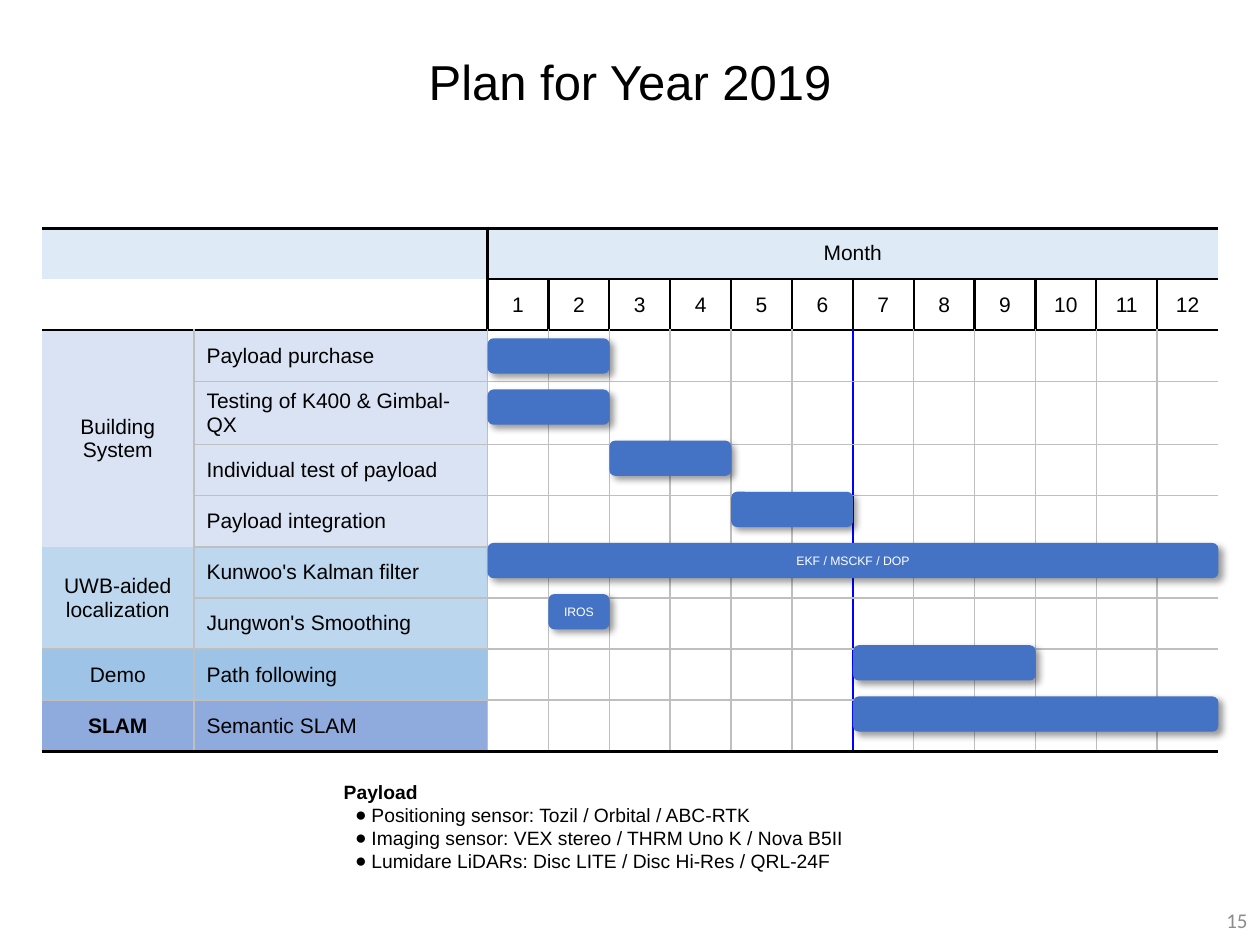
from lxml.etree import SubElement
from pptx import Presentation
from pptx.dml.color import RGBColor
from pptx.enum.shapes import MSO_SHAPE as Shape
from pptx.enum.text import MSO_ANCHOR as Anchor, PP_ALIGN as Align
from pptx.oxml.ns import qn
from pptx.util import Inches, Pt

BLACK, GREY, BLUE, WHITE = "000000", "BFBFBF", "0000FF", "FFFFFF"
HEADER_FILL, BAR_FILL = "DEEBF7", "4472C4"
NO_STYLE = "{2D5ABB26-0587-4C30-8999-92F81FD0307C}"
MONTHS, HEADER_ROWS, LABEL_COLS, TODAY = 12, 2, 2, 6
GROUP_WIDTH, TASK_WIDTH, BAR_HEIGHT = 1.21, 2.33, 0.28

# Each group: name, fill, tasks; each task: label, first month, last month, bar text
PLAN = [
    ("Building\nSystem", "DAE3F3", [
        ("Payload purchase", 1, 2, ""),
        ("Testing of K400 & Gimbal-QX", 1, 2, ""),
        ("Individual test of payload", 3, 4, ""),
        ("Payload integration", 5, 6, "")]),
    ("UWB-aided\nlocalization", "BDD7EE", [
        ("Kunwoo's Kalman filter", 1, 12, "EKF / MSCKF / DOP"),
        ("Jungwon's Smoothing", 2, 2, "IROS")]),
    ("Demo", "9DC3E6", [("Path following", 7, 9, "")]),
    ("SLAM", "8FAADC", [("Semantic SLAM", 7, 12, "")]),
]
TASKS = [task for _, _, tasks in PLAN for task in tasks]
ROWS, COLS = HEADER_ROWS + len(TASKS), LABEL_COLS + MONTHS
GROUP_STARTS = {HEADER_ROWS + sum(len(tasks) for _, _, tasks in PLAN[:i])
                for i in range(len(PLAN))}


def color(value):
    return RGBColor.from_string(value)


def write(frame, text, size, align=Align.LEFT, hue=BLACK, bold=False, font="Arial"):
    frame.text = text
    for paragraph in frame.paragraphs:
        paragraph.alignment = align
        for run in paragraph.runs:
            run.font.size, run.font.name, run.font.bold = Pt(size), font, bold
            run.font.color.rgb = color(hue)


def add_text(slide, box, text, size, anchor=Anchor.MIDDLE, **style):
    frame = slide.shapes.add_textbox(*map(Inches, box)).text_frame
    frame.word_wrap, frame.vertical_anchor = True, anchor
    write(frame, text, size, **style)
    return frame


def fill_cell(cell, text="", fill=None, align=Align.CENTER, bold=False):
    cell.vertical_anchor = Anchor.MIDDLE
    write(cell.text_frame, text, 12, align, bold=bold)
    if fill:
        cell.fill.solid()
        cell.fill.fore_color.rgb = color(fill)
    else:
        cell.fill.background()


# Grid lines: the line above a row, and the line left of a column
def line_above(row, col):
    if row in (0, ROWS):
        return BLACK, 2
    if row == 1:
        return (BLACK, 1.5) if col >= LABEL_COLS else None
    if row == HEADER_ROWS:
        return BLACK, 1.5
    return None if col == 0 and row not in GROUP_STARTS else (GREY, 1)


def line_before(row, col):
    if col in (0, COLS):
        return None
    if row < HEADER_ROWS:
        shown = col == LABEL_COLS or (row == 1 and col > LABEL_COLS)
        return (BLACK, 1.5) if shown else None
    return (BLUE, 1.5) if col == LABEL_COLS + TODAY else (GREY, 1)


def set_borders(cell, row, col):
    lines = {"L": line_before(row, col), "R": line_before(row, col + 1),
             "T": line_above(row, col), "B": line_above(row + 1, col)}
    properties = cell._tc.get_or_add_tcPr()
    for position, (side, line) in enumerate(lines.items()):
        border = SubElement(properties, qn("a:ln" + side))
        properties.insert(position, border)
        if line:
            border.set("w", str(int(Pt(line[1]))))
            SubElement(SubElement(border, qn("a:solidFill")), qn("a:srgbClr"), val=line[0])
        else:
            SubElement(border, qn("a:noFill"))


def add_schedule(slide, box):
    left, top, width, height = box
    month_width = (width - GROUP_WIDTH - TASK_WIDTH) / MONTHS
    row_height = height / ROWS
    table = slide.shapes.add_table(ROWS, COLS, *map(Inches, box)).table
    table.first_row = table.horz_banding = False
    table._tbl.tblPr.find(qn("a:tableStyleId")).text = NO_STYLE
    for col, size in enumerate([GROUP_WIDTH, TASK_WIDTH] + [month_width] * MONTHS):
        table.columns[col].width = Inches(size)
    for row in range(ROWS):
        table.rows[row].height = Inches(row_height)
        for col in range(COLS):
            fill = (HEADER_FILL, WHITE)[row] if row < HEADER_ROWS else None
            fill_cell(table.cell(row, col), fill=fill)

    # Header
    table.cell(0, LABEL_COLS).merge(table.cell(0, COLS - 1))
    fill_cell(table.cell(0, LABEL_COLS), "Month", HEADER_FILL)
    for month in range(1, MONTHS + 1):
        fill_cell(table.cell(1, LABEL_COLS + month - 1), str(month), WHITE)

    # Groups and tasks
    row = HEADER_ROWS
    for group, fill, tasks in PLAN:
        if len(tasks) > 1:
            table.cell(row, 0).merge(table.cell(row + len(tasks) - 1, 0))
        fill_cell(table.cell(row, 0), group, fill, bold=group == "SLAM")
        for label, *_ in tasks:
            fill_cell(table.cell(row, 1), label, fill, Align.LEFT)
            row += 1
    for row in range(ROWS):
        for col in range(COLS):
            set_borders(table.cell(row, col), row, col)

    # Bars
    first_left = left + GROUP_WIDTH + TASK_WIDTH
    for row, (_, first, last, text) in enumerate(TASKS, HEADER_ROWS):
        add_bar(slide, (first_left + (first - 1) * month_width,
                        top + row * row_height + (row_height - BAR_HEIGHT) / 2,
                        (last - first + 1) * month_width, BAR_HEIGHT), text)


def add_bar(slide, box, text):
    bar = slide.shapes.add_shape(Shape.ROUNDED_RECTANGLE, *map(Inches, box))
    bar.fill.solid()
    bar.fill.fore_color.rgb = color(BAR_FILL)
    bar.line.fill.background()
    bar.shadow.inherit = False
    effects = bar._element.spPr.find(qn("a:effectLst"))
    shadow = SubElement(effects, qn("a:outerShdw"), blurRad=str(int(Pt(4))),
                        dist=str(int(Pt(3))), dir=str(45 * 60000), algn="tl", rotWithShape="0")
    SubElement(SubElement(shadow, qn("a:srgbClr"), val=BLACK), qn("a:alpha"), val="40000")
    if text:
        frame = bar.text_frame
        frame.margin_left = frame.margin_right = 0
        frame.vertical_anchor = Anchor.MIDDLE
        write(frame, text, 7, Align.CENTER, WHITE)


def add_payload(slide, box):
    sensors = ["Positioning sensor: Tozil / Orbital / ABC-RTK",
               "Imaging sensor: VEX stereo / THRM Uno K / Nova B5II",
               "Lumidare LiDARs: Disc LITE / Disc Hi-Res / QRL-24F"]
    frame = add_text(slide, box, "\n".join(["Payload"] + sensors), 11, Anchor.TOP)
    heading, *items = frame.paragraphs
    heading.runs[0].font.bold = True
    for item in items:
        properties = item._p.get_or_add_pPr()
        properties.set("marL", str(Inches(0.22)))
        properties.set("indent", str(Inches(-0.13)))
        SubElement(properties, qn("a:buFont"), typeface="Arial")
        SubElement(properties, qn("a:buChar"), char="●")


def build_plan_slide(deck):
    slide = deck.slides.add_slide(deck.slide_layouts[6])
    title = add_text(slide, (0.69, 0.4, 8.62, 0.54), "Plan for Year 2019", 28,
                     align=Align.CENTER)
    title.paragraphs[0].line_spacing = 0.9
    add_text(slide, (7.75, 7.1, 2.25, 0.4), "15", 12,
             align=Align.RIGHT, hue="8C8C8C", font="Calibri")
    add_schedule(slide, (0.33, 1.81, 9.34, 4.06))
    add_payload(slide, (2.63, 6.14, 4.74, 1))


deck = Presentation()
deck.slide_width, deck.slide_height = Inches(10), Inches(7.5)
build_plan_slide(deck)
deck.save("out.pptx")
